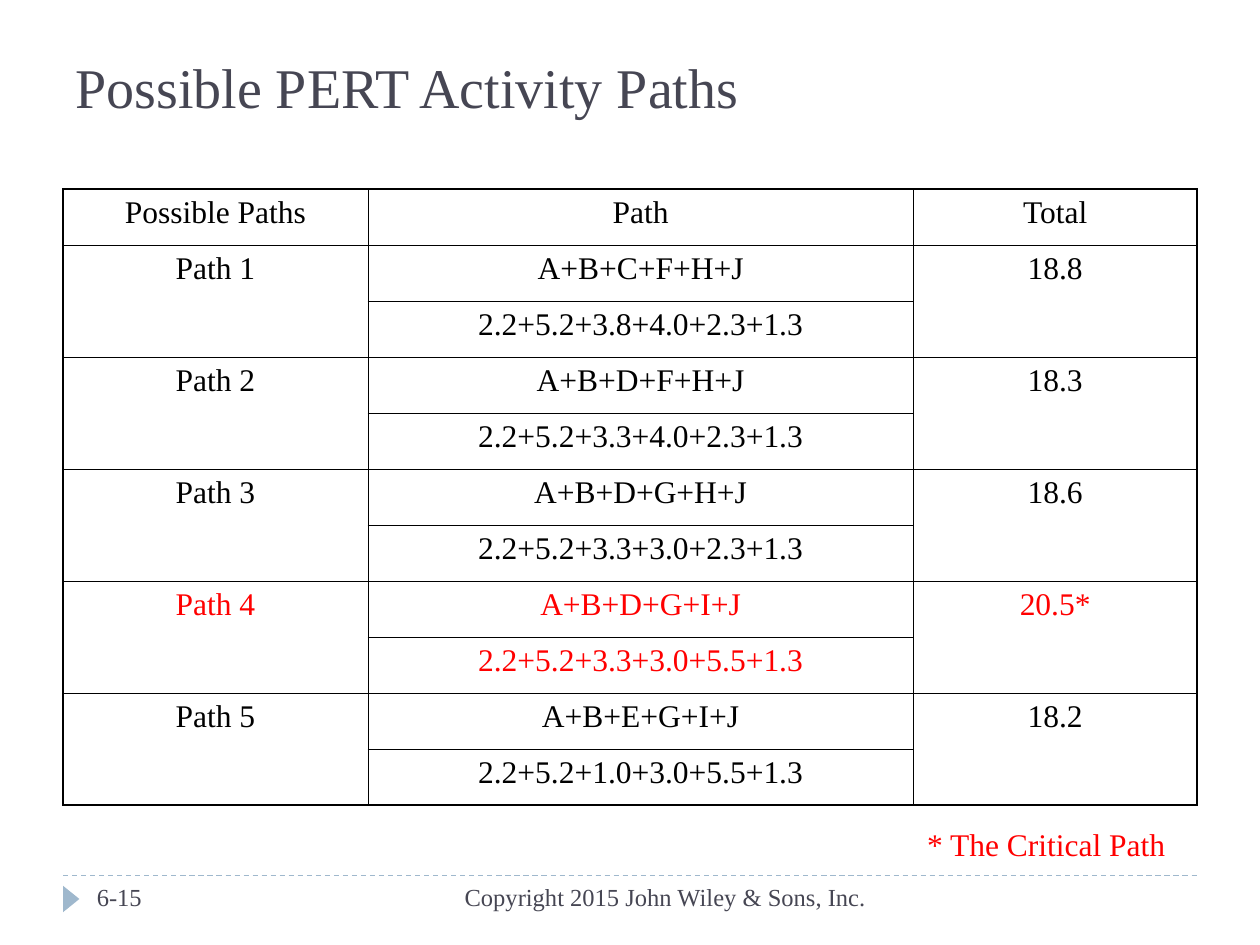
from dataclasses import dataclass

from lxml import etree
from pptx import Presentation
from pptx.dml.color import RGBColor
from pptx.enum.dml import MSO_LINE
from pptx.enum.shapes import MSO_CONNECTOR, MSO_SHAPE
from pptx.enum.text import MSO_ANCHOR, PP_ALIGN
from pptx.oxml.ns import qn
from pptx.util import Inches, Pt

LEFT, CENTER, RIGHT = PP_ALIGN.LEFT, PP_ALIGN.CENTER, PP_ALIGN.RIGHT
TOP, BOTTOM = MSO_ANCHOR.TOP, MSO_ANCHOR.BOTTOM
DASH = MSO_LINE.DASH
STRAIGHT, TRIANGLE = MSO_CONNECTOR.STRAIGHT, MSO_SHAPE.ISOSCELES_TRIANGLE

FONT = "Times New Roman"
COLORS = {"text": "000000", "critical": "FF0000", "slate": "464653", "accent": "9FB8CD"}
THICK, THIN = Pt(1.08), Pt(0.45)


@dataclass
class Label:
    text: str
    left: float
    top: float
    width: float
    height: float
    size: int
    color: str
    align: PP_ALIGN = LEFT
    anchor: MSO_ANCHOR = TOP
    wrap: bool = True


@dataclass
class PertPath:
    activities: str
    times: str
    total: str
    color: str = "text"


HEADERS = ["Possible Paths", "Path", "Total"]
COL_WIDTHS = [2.42, 4.33, 2.25]
PATHS = [
    PertPath("A+B+C+F+H+J", "2.2+5.2+3.8+4.0+2.3+1.3", "18.8"),
    PertPath("A+B+D+F+H+J", "2.2+5.2+3.3+4.0+2.3+1.3", "18.3"),
    PertPath("A+B+D+G+H+J", "2.2+5.2+3.3+3.0+2.3+1.3", "18.6"),
    PertPath("A+B+D+G+I+J", "2.2+5.2+3.3+3.0+5.5+1.3", "20.5*", "critical"),
    PertPath("A+B+E+G+I+J", "2.2+5.2+1.0+3.0+5.5+1.3", "18.2"),
]
LABELS = [
    Label("Possible PERT Activity Paths", 0.5, 0.17, 9, 0.83, 32, "slate", anchor=BOTTOM),
    Label("* The Critical Path", 7.26, 6.5, 2.09, 0.4, 18, "critical", wrap=False),
    Label("6-15", 0.67, 6.95, 2.17, 0.4, 14, "slate"),
    Label("Copyright 2015 John Wiley & Sons, Inc.", 3.17, 6.95, 3.8, 0.4, 14, "slate", RIGHT),
]


def rgb(name: str) -> RGBColor:
    return RGBColor.from_string(COLORS[name])


def write(tf, text: str, size: int, color: str, align: PP_ALIGN) -> None:
    p = tf.paragraphs[0]
    p.text = text
    p.alignment = align
    p.font.name = FONT
    p.font.size = Pt(size)
    p.font.color.rgb = rgb(color)


def add_label(s, label: Label) -> None:
    box = s.shapes.add_textbox(Inches(label.left), Inches(label.top),
                               Inches(label.width), Inches(label.height))
    tf = box.text_frame
    tf.word_wrap = label.wrap
    tf.vertical_anchor = label.anchor
    write(tf, label.text, label.size, label.color, label.align)


def set_border(cell, side: str, width: int) -> None:
    ln = etree.SubElement(cell._tc.get_or_add_tcPr(), qn(f"a:ln{side}"), w=str(width))
    fill = etree.SubElement(ln, qn("a:solidFill"))
    etree.SubElement(fill, qn("a:srgbClr"), val=COLORS["text"])


def add_path_table(s) -> None:
    n_rows, n_cols = 1 + 2 * len(PATHS), len(HEADERS)
    table = s.shapes.add_table(n_rows, n_cols, Inches(0.5), Inches(1.5),
                               Inches(9), Inches(4.89)).table
    table.first_row = table.horz_banding = False
    for col, width in zip(table.columns, COL_WIDTHS):
        col.width = Inches(width)

    # Header row, then two rows per path with the outer columns merged
    for c, header in enumerate(HEADERS):
        write(table.cell(0, c).text_frame, header, 18, "text", CENTER)
    for i, path in enumerate(PATHS):
        row = 1 + 2 * i
        for c in (0, 2):
            table.cell(row, c).merge(table.cell(row + 1, c))
        entries = [(row, 0, f"Path {i + 1}"), (row, 1, path.activities),
                   (row, 2, path.total), (row + 1, 1, path.times)]
        for r, c, text in entries:
            write(table.cell(r, c).text_frame, text, 18, path.color, CENTER)

    # Thick outer frame, thin inner grid
    for r in range(n_rows):
        for c in range(n_cols):
            cell = table.cell(r, c)
            is_outer = {"L": c == 0, "R": c == n_cols - 1, "T": r == 0,
                        "B": r + cell.span_height == n_rows}
            for side, outer in is_outer.items():
                set_border(cell, side, THICK if outer else THIN)
            cell.fill.background()


def add_footer_marks(s) -> None:
    rule = s.shapes.add_connector(STRAIGHT, Inches(0.5), Inches(6.95), Inches(9.5), Inches(6.95))
    rule.line.color.rgb = rgb("accent")
    rule.line.width = Pt(0.75)
    rule.line.dash_style = DASH
    etree.SubElement(rule._element.spPr, qn("a:effectLst"))

    marker = s.shapes.add_shape(TRIANGLE, Inches(0.46), Inches(7.07), Inches(0.21), Inches(0.13))
    marker.rotation = 90
    marker.shadow.inherit = False
    marker.fill.solid()
    marker.fill.fore_color.rgb = rgb("accent")
    marker.line.fill.background()


def main() -> None:
    prs = Presentation()
    prs.slide_width, prs.slide_height = Inches(10), Inches(7.5)
    s = prs.slides.add_slide(prs.slide_layouts[6])
    add_footer_marks(s)
    add_path_table(s)
    for label in LABELS:
        add_label(s, label)
    prs.save("out.pptx")


if __name__ == "__main__":
    main()
